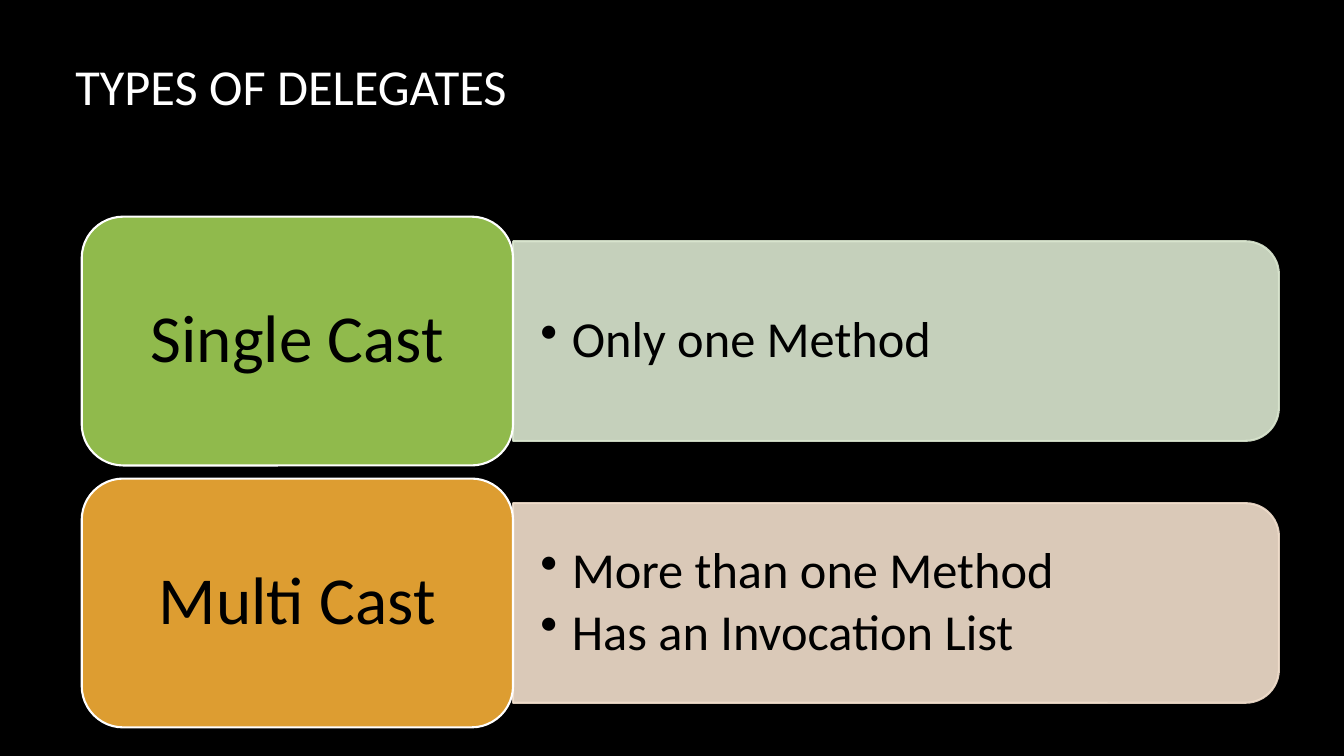
import dataclasses

import lxml.etree
import pptx
import pptx.dml.color
import pptx.enum.shapes
import pptx.enum.text
import pptx.oxml.ns
import pptx.util

Cm, Pt = pptx.util.Cm, pptx.util.Pt
RGB = pptx.dml.color.RGBColor.from_string
SHAPE = pptx.enum.shapes.MSO_SHAPE
ALIGN = pptx.enum.text.PP_ALIGN
qn = pptx.oxml.ns.qn


@dataclasses.dataclass(frozen=True)
class Theme:
    font: str = "Calibri"
    back: str = "000000"
    light: str = "FFFFFF"
    dark: str = "000000"
    green: str = "90BA4C"
    pale_green: str = "DBE7D0"
    gold: str = "DD9D31"
    pale_gold: str = "F2DFCD"
    body: int = 36
    label: int = 48


theme = Theme()


def write(shape, lines, size, color, align=ALIGN.LEFT, pad=(0.25, 0.13),
          space=1.0, after=0, bullet=False):
    frame = shape.text_frame
    frame.word_wrap = True
    frame.auto_size = pptx.enum.text.MSO_AUTO_SIZE.NONE
    frame.vertical_anchor = pptx.enum.text.MSO_ANCHOR.MIDDLE
    frame.margin_left = frame.margin_right = Cm(pad[0])
    frame.margin_top = frame.margin_bottom = Cm(pad[1])
    frame.text = "\n".join(lines)
    for para in frame.paragraphs:
        para.alignment = align
        para.line_spacing = space
        para.space_after = Pt(after)
        font = para.runs[0].font
        font.name, font.size, font.color.rgb = theme.font, Pt(size), RGB(color)
        if bullet:
            props = para._p.get_or_add_pPr()
            props.set("marL", str(Cm(0.79)))
            props.set("indent", str(-Cm(0.79)))
            lxml.etree.SubElement(props, qn("a:buChar"), char="•")


def paint(shape, fill, line, alpha=100):
    """Set fill and outline, both with the same opacity in percent."""
    shape.shadow.inherit = False
    shape.fill.solid()
    shape.fill.fore_color.rgb = RGB(fill)
    shape.line.color.rgb = RGB(line)
    shape.line.width = Pt(1.5)
    if alpha < 100:
        for color in shape._element.spPr.iter(qn("a:srgbClr")):
            lxml.etree.SubElement(color, qn("a:alpha"), val=str(alpha * 1000))


deck = pptx.Presentation()
deck.slide_width, deck.slide_height = Cm(33.87), Cm(19.05)
slide = deck.slides.add_slide(deck.slide_layouts[5])
slide.background.fill.solid()
slide.background.fill.fore_color.rgb = RGB(theme.back)
shapes = slide.shapes

title = shapes.title
title.left, title.top = Cm(1.65), Cm(0.13)
title.width, title.height = Cm(31.95), Cm(4.04)
write(title, ["TYPES OF DELEGATES"], theme.body, theme.light)

rows = [
    ("Single Cast", ["Only one Method"], theme.green, theme.pale_green),
    ("Multi Cast", ["More than one Method", "Has an Invocation List"],
     theme.gold, theme.pale_gold),
]
left, top, pitch = 2.06, 5.46, 6.6
tile_w, tile_h = 10.87, 6.27
bar_w, bar_h = 19.3, 5.03
text_w, text_h = 19.08, 4.55
edge = left + tile_w

for i, (name, points, strong, pale) in enumerate(rows):
    y = top + i * pitch
    mid = y + tile_h / 2

    # The bar stands upright before its quarter turn.
    bar = shapes.add_shape(
        SHAPE.ROUND_2_SAME_RECTANGLE,
        Cm(edge + (bar_w - bar_h) / 2), Cm(mid - bar_w / 2),
        Cm(bar_h), Cm(bar_w))
    bar.rotation = 90
    paint(bar, pale, pale, alpha=90)

    box = shapes.add_textbox(
        Cm(edge), Cm(mid - text_h / 2), Cm(text_w), Cm(text_h))
    write(box, points, theme.body, theme.dark, pad=(0.69, 0.36),
          space=0.9, after=5, bullet=True)

    tile = shapes.add_shape(
        SHAPE.ROUNDED_RECTANGLE, Cm(left), Cm(y), Cm(tile_w), Cm(tile_h))
    paint(tile, strong, theme.light)
    write(tile, [name], theme.label, theme.dark, align=ALIGN.CENTER,
          pad=(0.5, 0.25), space=0.9)

deck.save("out.pptx")
